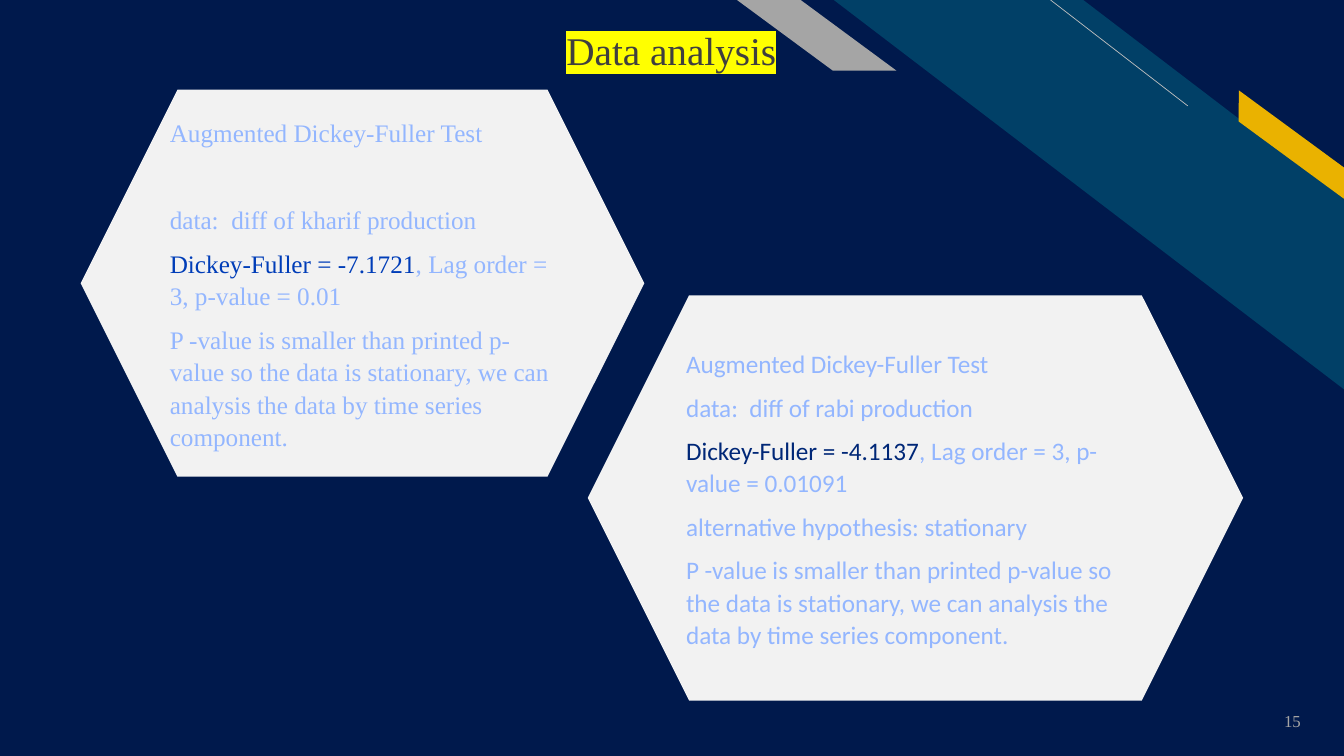
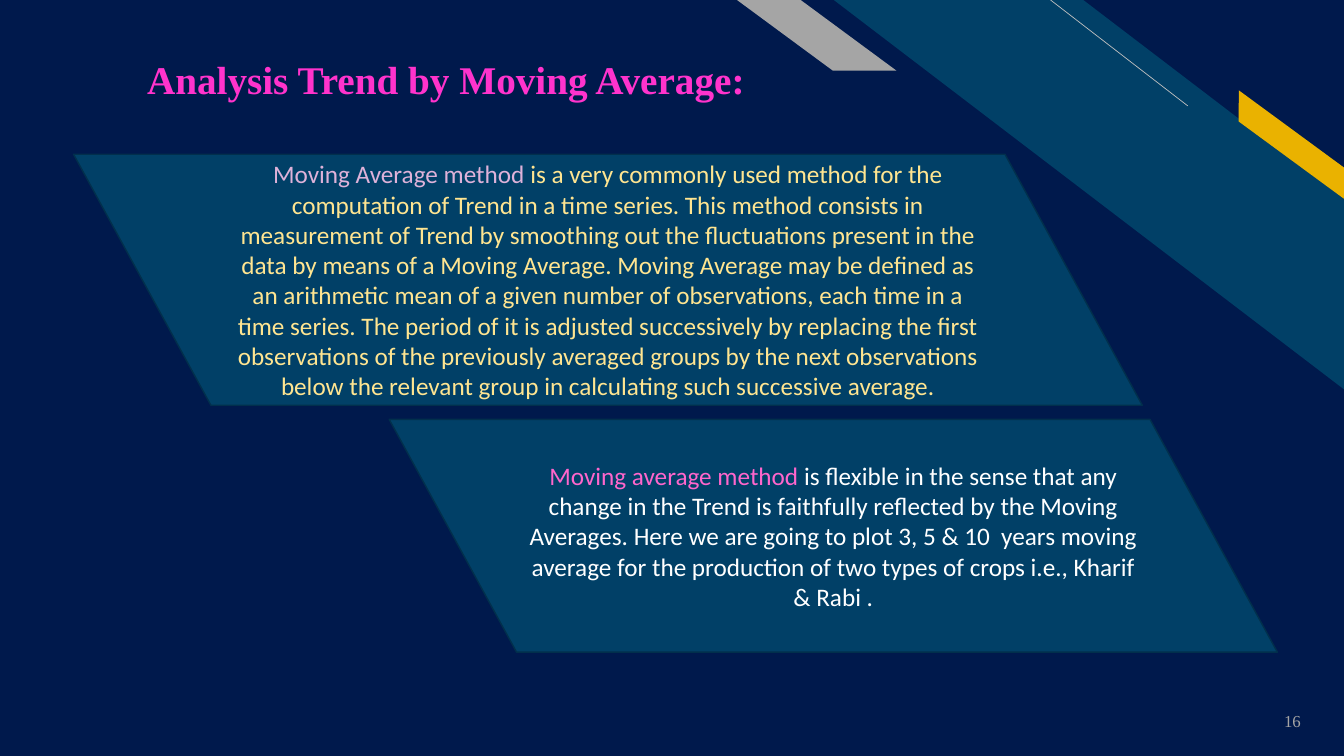
from pptx import Presentation
from pptx.dml.color import RGBColor
from pptx.enum import shapes, text
from pptx.oxml.ns import qn
from pptx.util import Inches, Pt
from lxml import etree

NAVY, TEAL, TEAL_EDGE = "00194C", "014067", "012F4C"
GREY, PALE, GOLD, WHITE = "A5A5A5", "F2F2F2", "EAB200", "FFFFFF"
SKY = "93B6FF"
SERIF, SANS = "Times New Roman", "Calibri"
SHAPE, ALIGN = shapes.MSO_SHAPE, text.PP_ALIGN
rgb = RGBColor.from_string


def add_block(slide, kind, box, fill, adj=None, flip=False, line=None):
    s = slide.shapes.add_shape(kind, *map(Inches, box))
    s.shadow.inherit = False
    s.fill.solid()
    s.fill.fore_color.rgb = rgb(fill)
    if line:
        s.line.color.rgb = rgb(line)
        s.line.width = Pt(1)
    else:
        s.line.fill.background()
    if adj is not None:
        s.adjustments[0] = adj
    if flip:
        s._element.spPr.find(qn("a:xfrm")).set("flipH", "1")
    return s


def write(s, paragraphs, font, size, align=ALIGN.LEFT, bold=False,
          middle=False, spaced=False):
    """Fill a shape with paragraphs, each a list of (text, colour) runs."""
    tf = s.text_frame
    tf.word_wrap = True
    tf.vertical_anchor = text.MSO_ANCHOR.MIDDLE if middle else text.MSO_ANCHOR.TOP
    for i, runs in enumerate(paragraphs):
        p = tf.paragraphs[0] if i == 0 else tf.add_paragraph()
        p.alignment = align
        if spaced:
            p.line_spacing = 1.07
            p.space_after = Pt(8)
        p.font.name, p.font.size, p.font.bold = font, Pt(size), bold
        for content, colour in runs:
            r = p.add_run()
            r.text = content
            r.font.color.rgb = rgb(colour)
    return tf


prs = Presentation()
prs.slide_width, prs.slide_height = Inches(13.33), Inches(7.5)
background = prs.slide_master.background.fill
background.solid()
background.fore_color.rgb = rgb(NAVY)

# Corner decoration and page number on every slide
slides = [prs.slides.add_slide(prs.slide_layouts[6]) for _ in range(2)]
for number, slide in enumerate(slides, 15):
    add_block(slide, SHAPE.DIAGONAL_STRIPE, (8.27, 0, 5.07, 3.87), TEAL, 0.512, True)
    hairline = slide.shapes.add_connector(
        shapes.MSO_CONNECTOR.STRAIGHT, *map(Inches, (11.78, 1.05, 10.42, 0)))
    hairline.line.color.rgb = rgb("BFBFBF")
    hairline.line.width = Pt(0.5)
    etree.SubElement(hairline._element.spPr, qn("a:effectLst"))
    gold_bar = add_block(slide, SHAPE.PARALLELOGRAM, (12.07, 1.31, 1.48, 0.25),
                         GOLD, 0.72, True)
    gold_bar.rotation = 36.3
    add_block(slide, SHAPE.PARALLELOGRAM, (7.31, 0, 1.58, 0.7), GREY, 1.356, True)
    page = slide.shapes.add_textbox(*map(Inches, (12.19, 6.95, 0.81, 0.4)))
    write(page, [[(str(number), GREY)]], SERIF, 12, ALIGN.RIGHT, middle=True)

tests, trend = slides

# Slide 15: stationarity tests
VERDICT = ("P -value is smaller than printed p-value so the data is stationary, "
           "we can analysis the data by time series component.")
kharif = add_block(tests, SHAPE.HEXAGON, (0.8, 0.89, 5.59, 3.84), PALE)
tf = write(kharif, [
    [("Augmented Dickey-Fuller Test", SKY)],
    [("data:  diff of kharif production", SKY)],
    [("Dickey-Fuller = -7.1721", "003DB8"), (", Lag order = 3, p-value = 0.01", SKY)],
    [(VERDICT, SKY)],
], SERIF, 18, middle=True, spaced=True)
tf.paragraphs[1].space_before = Pt(31.5)

title = tests.shapes.add_textbox(*map(Inches, (5.52, 0.18, 6.67, 0.57)))
tf = write(title, [[("Data analysis", "3F3F3F")]], SERIF, 28, spaced=True)
fill = tf.paragraphs[0].runs[0]._r.rPr.find(qn("a:solidFill"))
highlight = etree.Element(qn("a:highlight"))
etree.SubElement(highlight, qn("a:srgbClr"), val="FFFF00")
fill.addnext(highlight)

rabi = add_block(tests, SHAPE.HEXAGON, (5.83, 2.93, 6.5, 4.02), PALE)
write(rabi, [
    [("Augmented Dickey-Fuller Test", SKY)],
    [("data:  diff of rabi production", SKY)],
    [("Dickey-Fuller = -4.1137", "002777"), (", Lag order = 3, p-value = 0.01091", SKY)],
    [("alternative hypothesis: stationary", SKY)],
    [(VERDICT, SKY)],
], SANS, 18, middle=True, spaced=True)

# Slide 16: moving average
panels = [
    ((0.73, 1.53, 10.6, 2.49), [
        ("Moving Average method ", "DEB2D9"),
        ("is a very commonly used method for the computation of Trend in a time "
         "series. This method consists in measurement of Trend by smoothing out the "
         "fluctuations present in the data by means of a Moving Average. Moving "
         "Average may be defined as an arithmetic mean of a given number of "
         "observations, each time in a time series. The period of it is adjusted "
         "successively by replacing the first observations of the previously averaged "
         "groups by the next observations below the relevant group in calculating "
         "such successive average.", "FFE591")]),
    ((3.86, 4.16, 8.81, 2.31), [
        ("Moving average method ", "FF66CC"),
        ("is flexible in the sense that any change in the Trend is faithfully "
         "reflected by the Moving Averages. Here we are going to plot 3, 5 & 10  years "
         "moving average for the production of two types of crops i.e., Kharif & "
         "Rabi .", WHITE)]),
]
for box, runs in panels:
    panel = add_block(trend, SHAPE.PARALLELOGRAM, box, TEAL, 0.547, True, TEAL_EDGE)
    write(panel, [runs], SANS, 18, ALIGN.CENTER, middle=True)

title = trend.shapes.add_textbox(*map(Inches, (1.36, 0.5, 6.68, 0.57)))
write(title, [[("Analysis Trend by Moving Average:", "FF33CC")]], SERIF, 28, bold=True)

prs.save("out.pptx")
